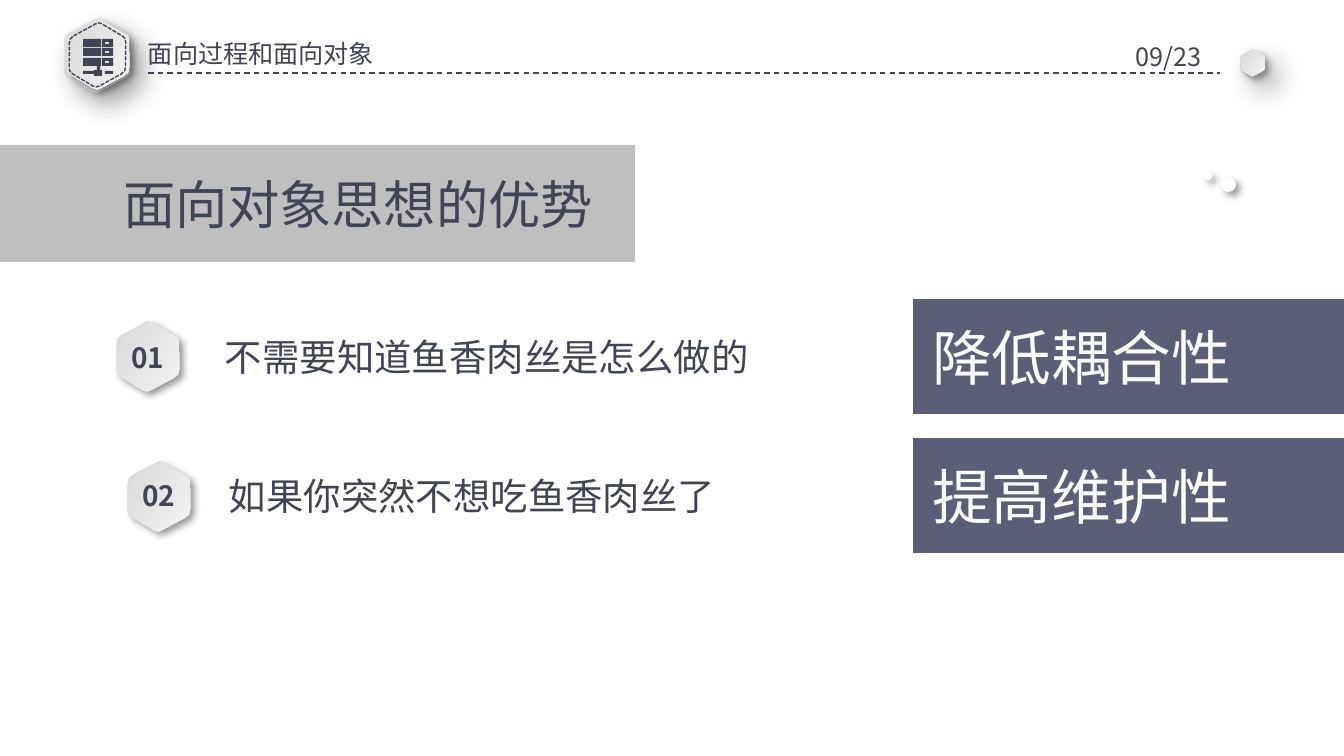
from lxml import etree
from pptx import Presentation
from pptx.dml.color import RGBColor
from pptx.enum.dml import MSO_LINE
from pptx.enum.shapes import MSO_CONNECTOR, MSO_SHAPE
from pptx.enum.text import MSO_ANCHOR, PP_ALIGN
from pptx.oxml.ns import qn
from pptx.util import Pt

RECT, OVAL = MSO_SHAPE.RECTANGLE, MSO_SHAPE.OVAL
TOP, MIDDLE = MSO_ANCHOR.TOP, MSO_ANCHOR.MIDDLE
LEFT, CENTER = PP_ALIGN.LEFT, PP_ALIGN.CENTER
DASH, SHORT_DASH = MSO_LINE.DASH, MSO_LINE.SQUARE_DOT
STRAIGHT = MSO_CONNECTOR.STRAIGHT

INK = RGBColor(0x41, 0x44, 0x55)
SLATE = RGBColor(0x5B, 0x5E, 0x77)
GREY = RGBColor(0xBF, 0xBF, 0xBF)
PALE = RGBColor(0xFB, 0xFB, 0xFB)
WHITE = RGBColor(0xFF, 0xFF, 0xFF)
SHADE = RGBColor(0xD3, 0xD3, 0xD3)
LIGHT = RGBColor(0xF9, 0xF9, 0xF9)
FONT = "Noto Sans CJK SC"
PX = 914400 / 134.4
HEXAGON = [(0.02, 0.43), (0.22, 0.06), (0.25, 0.02), (0.3, 0),
           (0.7, 0), (0.75, 0.02), (0.78, 0.06), (0.98, 0.43), (1, 0.5),
           (0.98, 0.57), (0.78, 0.94), (0.75, 0.98), (0.7, 1),
           (0.3, 1), (0.25, 0.98), (0.22, 0.94), (0.02, 0.57), (0, 0.5)]

prs = Presentation()
prs.slide_width, prs.slide_height = round(1344 * PX), round(756 * PX)
s = prs.slides.add_slide(prs.slide_layouts[5])
shapes = s.shapes


def add_shadow(sp, blur, dist):
    sp.shadow.inherit = False
    effects = sp._element.spPr.find(qn("a:effectLst"))
    outer = etree.SubElement(effects, qn("a:outerShdw"), blurRad=str(Pt(blur)),
                             dist=str(Pt(dist)), dir="2700000", algn="tl", rotWithShape="0")
    color = etree.SubElement(outer, qn("a:srgbClr"), val="000000")
    etree.SubElement(color, qn("a:alpha"), val="40000")


def set_text(sp, box, text, size, color, anchor=MIDDLE, inset=(10, 5), align=LEFT, bold=False):
    sp.left, sp.top, sp.width, sp.height = [round(v * PX) for v in box]
    tf = sp.text_frame
    tf.word_wrap = True
    tf.vertical_anchor = anchor
    tf.margin_left = tf.margin_right = round(inset[0] * PX)
    tf.margin_top = tf.margin_bottom = round(inset[1] * PX)
    p = tf.paragraphs[0]
    p.alignment = align
    r = p.add_run()
    r.text = text
    r.font.size, r.font.bold = Pt(size), bold
    r.font.name = FONT
    r.font.color.rgb = color
    etree.SubElement(r.font._element, qn("a:ea"), typeface=FONT)


for x, y, w, h, angle, shadow in [
    (60, 22, 74, 67, 90, (15, 9)),
    (63, 23, 70, 63, 0, (4, 3)),
    (66, 26, 63, 58, None, None),
    (1239, 51, 28, 25, 90, (15, 9)),
    (1240, 51, 26, 24, 0, (4, 3)),
    (113, 325, 70, 63, 0, (4, 3)),
    (124, 465, 70, 63, 0, (4, 3)),
]:
    points = [((x + u * w) * PX, (y + v * h) * PX) for u, v in HEXAGON]
    fb = shapes.build_freeform(*points[0])
    fb.add_line_segments(points[1:])
    sp = fb.convert_to_shape()
    sp.rotation = 30.9
    if shadow:
        sp.fill.gradient()
        sp.fill.gradient_angle = angle
        for stop, color in zip(sp.fill.gradient_stops, (SHADE, LIGHT)):
            stop.color.rgb = color
        sp.line.fill.background()
        add_shadow(sp, *shadow)
    else:
        sp.fill.background()
        sp.line.color.rgb = INK
        sp.line.width = Pt(0.75)
        sp.line.dash_style = SHORT_DASH
        sp.shadow.inherit = False

server = [(97, 66, 3, 4), (94, 70, 8, 6), (83, 71, 11, 3), (105, 71, 8, 3)]
for y in (39, 48, 58):
    server += [(83, y, 18, 8), (102, y, 11, 8), (105, y + 3, 4, 2)]
fb = shapes.build_freeform(*server[0][:2], scale=PX)
for x, y, w, h in server:
    fb.move_to(x, y)
    fb.add_line_segments([(x + w, y), (x + w, y + h), (x, y + h)])
icon = fb.convert_to_shape()
icon.fill.solid()
icon.fill.fore_color.rgb = INK
icon.line.fill.background()
icon.shadow.inherit = False

rule = shapes.add_connector(STRAIGHT, *[round(v * PX) for v in (148, 73, 1220, 73)])
rule.line.color.rgb = INK
rule.line.width = Pt(0.75)
rule.line.dash_style = DASH
etree.SubElement(rule._element.spPr, qn("a:effectLst"))

for kind, box, color in [
    (OVAL, (1204, 172, 8, 8), WHITE),
    (OVAL, (1221, 177, 15, 15), WHITE),
    (RECT, (0, 145, 635, 117), GREY),
    (RECT, (913, 299, 431, 115), SLATE),
    (RECT, (913, 438, 431, 115), SLATE),
]:
    sp = shapes.add_shape(kind, *[round(v * PX) for v in box])
    sp.fill.solid()
    sp.fill.fore_color.rgb = color
    sp.line.fill.background()
    if kind == OVAL:
        add_shadow(sp, 4, 3)
    else:
        sp.shadow.inherit = False

title = shapes.title
title._element.getparent().append(title._element)
set_text(title, (113, 128, 521, 151), "面向对象思想的优势", 28, INK)

for box, text in [
    ((140, 34, 267, 38), "面向过程和面向对象"),
    ((1128, 37, 93, 38), "09/23"),
]:
    set_text(shapes.add_textbox(0, 0, 0, 0), box, text, 13.5, INK, TOP, (8, 4))

for i, (num, num_x, text, text_x, benefit) in enumerate([
    ("01", 116, "不需要知道鱼香肉丝是怎么做的", 215, "降低耦合性"),
    ("02", 127, "如果你突然不想吃鱼香肉丝了", 219, "提高维护性"),
]):
    dy = 139 * i
    for box, content, size, color, style in [
        ((num_x, 340 + dy, 63, 34), num, 15, INK,
         {"anchor": TOP, "inset": (0, 0), "align": CENTER, "bold": True}),
        ((text_x, 312 + dy, 563, 89), text, 20, INK, {}),
        ((922, 292 + dy, 386, 129), benefit, 32, PALE, {}),
    ]:
        set_text(shapes.add_textbox(0, 0, 0, 0), box, content, size, color, **style)

prs.save("out.pptx")
